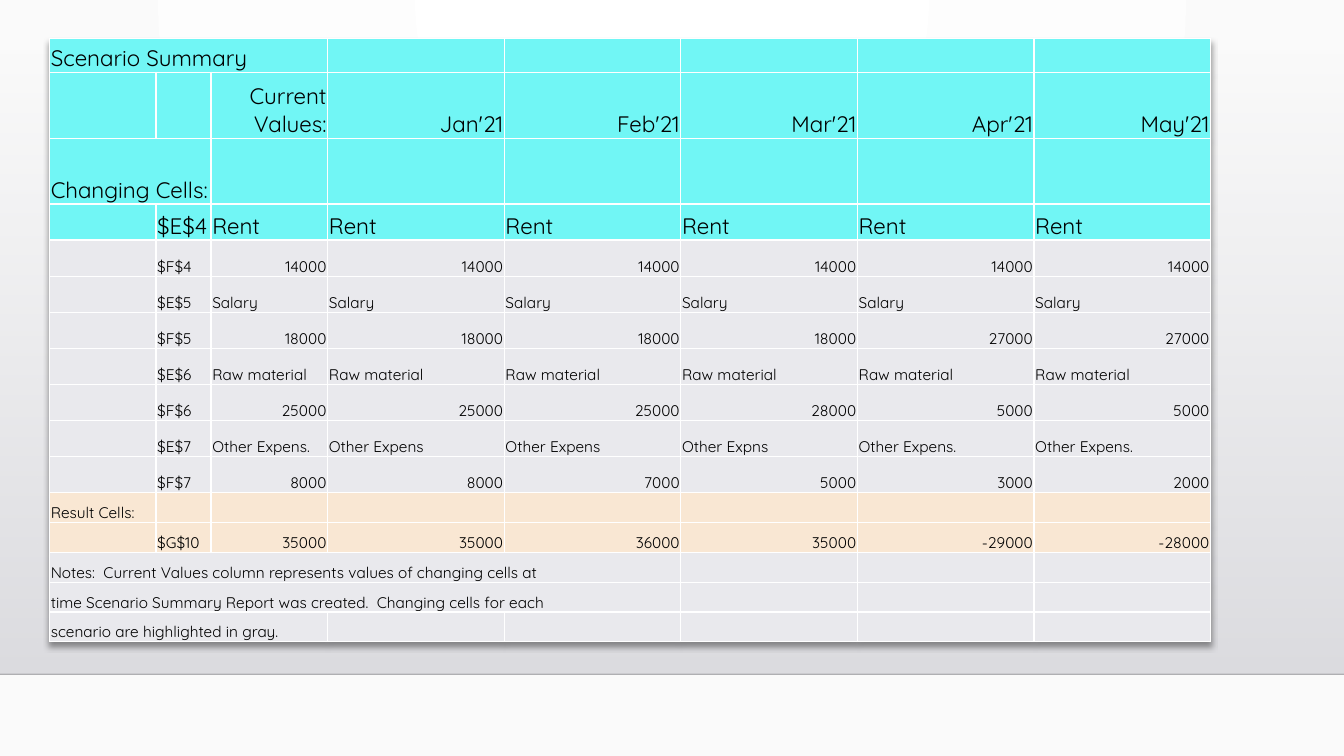
from lxml.etree import SubElement
from pptx import Presentation
from pptx.dml.color import RGBColor
from pptx.enum.shapes import MSO_CONNECTOR, MSO_SHAPE
from pptx.enum.text import MSO_ANCHOR, PP_ALIGN
from pptx.oxml.ns import qn
from pptx.util import Cm, Pt

COLORS = {
    "white": "FFFFFF", "paper": "FAFAFA", "text": "000000", "rule": "000001",
    "haze_top": "DCDCE0", "haze_bottom": "DEDEE2",
    "header": "71F6F5", "changing": "E9E9ED", "result": "F9E7D3",
}
FONT = "Quicksand"
SLIDE_WIDTH, SLIDE_HEIGHT = Cm(33.87), Cm(19.05)
HAZE_TOP, HAZE_BOTTOM = Cm(1.3), Cm(16.99)
TABLE_LEFT, TABLE_TOP = Cm(1.25), Cm(0.98)
COLUMN_WIDTHS = [2.68, 1.39, 2.94] + [4.45] * 5
LEFT, RIGHT = PP_ALIGN.LEFT, PP_ALIGN.RIGHT

# band, row height in cm, alignment of the value columns, cells from the left
ROWS = [
    ("header", 0.84, LEFT, ["Scenario Summary"]),
    ("header", 1.66, RIGHT, ["", "", "Current Values:", "Jan'21", "Feb'21",
                             "Mar'21", "Apr'21", "May'21"]),
    ("header", 1.66, LEFT, ["Changing Cells:"]),
    ("header", 0.91, LEFT, ["", "$E$4"] + ["Rent"] * 6),
    ("changing", 0.91, RIGHT, ["", "$F$4"] + ["14000"] * 6),
    ("changing", 0.91, LEFT, ["", "$E$5"] + ["Salary"] * 6),
    ("changing", 0.91, RIGHT, ["", "$F$5"] + ["18000"] * 4 + ["27000"] * 2),
    ("changing", 0.91, LEFT, ["", "$E$6"] + ["Raw material"] * 6),
    ("changing", 0.91, RIGHT, ["", "$F$6"] + ["25000"] * 3 + ["28000", "5000", "5000"]),
    ("changing", 0.91, LEFT, ["", "$E$7", "Other Expens.", "Other Expens", "Other Expens",
                              "Other Expns", "Other Expens.", "Other Expens."]),
    ("changing", 0.91, RIGHT, ["", "$F$7", "8000", "8000", "7000", "5000", "3000", "2000"]),
    ("result", 0.75, LEFT, ["Result Cells:"]),
    ("result", 0.75, RIGHT, ["", "$G$10", "35000", "35000", "36000", "35000",
                             "-29000", "-28000"]),
    ("changing", 0.75, LEFT,
     ["Notes:  Current Values column represents values of changing cells at"]),
    ("changing", 0.75, LEFT,
     ["time Scenario Summary Report was created.  Changing cells for each"]),
    ("changing", 0.75, LEFT, ["scenario are highlighted in gray."]),
]
# row: number of columns that its first cell covers
SPANS = {0: 3, 2: 2, 13: 5, 14: 5, 15: 3}


def rgb(name):
    return RGBColor.from_string(COLORS[name])


def set_alpha(color_element, percent):
    SubElement(color_element, qn("a:alpha"), val=str(percent * 1000))


def set_gradient(fill, start, end):
    fill.gradient()
    fill.gradient_angle = 270
    for stop, name in zip(fill.gradient_stops, (start, end)):
        stop.color.rgb = rgb(name)


def paint_background(slide):
    """Radial glow from the middle of the top edge."""
    set_gradient(slide.background.fill, "white", "paper")
    gradient = next(slide.background._cSld.iter(qn("a:gradFill")))
    gradient.remove(gradient.find(qn("a:lin")))
    glow = SubElement(gradient, qn("a:path"), path="circle")
    SubElement(glow, qn("a:fillToRect"), l="43000", t="0", r="43000", b="100000")


def add_haze(slide):
    """Panel that fades in from clear to grey."""
    haze = slide.shapes.add_shape(
        MSO_SHAPE.RECTANGLE, 0, HAZE_TOP, SLIDE_WIDTH, HAZE_BOTTOM - HAZE_TOP)
    haze.shadow.inherit = False
    haze.line.fill.background()
    set_gradient(haze.fill, "haze_top", "haze_bottom")
    set_alpha(next(haze._element.spPr.iter(qn("a:srgbClr"))), 0)


def add_floor_line(slide):
    floor = slide.shapes.add_connector(
        MSO_CONNECTOR.STRAIGHT, 0, HAZE_BOTTOM, SLIDE_WIDTH, HAZE_BOTTOM)
    floor.line.width = Pt(1)
    floor.line.color.rgb = rgb("rule")
    properties = floor._element.spPr
    set_alpha(next(properties.iter(qn("a:srgbClr"))), 20)
    SubElement(properties, qn("a:effectLst"))


def add_borders(cell):
    properties = cell._tc.get_or_add_tcPr()
    for side in ("lnL", "lnR", "lnT", "lnB"):
        border = SubElement(properties, qn(f"a:{side}"), w=str(Pt(1)))
        solid = SubElement(border, qn("a:solidFill"))
        SubElement(solid, qn("a:srgbClr"), val=COLORS["white"])


def fill_cell(cell, text, band, alignment):
    size = Pt(16) if band == "header" else Pt(11)
    add_borders(cell)
    cell.fill.solid()
    cell.fill.fore_color.rgb = rgb(band)
    cell.margin_left = cell.margin_right = cell.margin_top = Cm(0.03)
    cell.margin_bottom = 0
    cell.vertical_anchor = MSO_ANCHOR.BOTTOM
    cell.text = text
    paragraph = cell.text_frame.paragraphs[0]
    paragraph.alignment = alignment
    paragraph.font.name = FONT
    paragraph.font.size = size
    paragraph.font.color.rgb = rgb("text")
    if not text:  # an empty cell takes its height from the end mark
        SubElement(paragraph._p, qn("a:endParaRPr"), sz=str(int(size.pt * 100)))


def add_table_shadow(table):
    effects = SubElement(table._tbl.tblPr, qn("a:effectLst"))
    shadow = SubElement(effects, qn("a:outerShdw"), blurRad=str(Pt(4)), dist=str(Pt(3)),
                        dir="5400000", algn="t", rotWithShape="0")
    set_alpha(SubElement(shadow, qn("a:srgbClr"), val=COLORS["text"]), 40)
    style = table._tbl.tblPr.find(qn("a:tableStyleId"))
    if style is not None:
        effects.addnext(style)


def add_scenario_table(slide):
    scenario = slide.shapes.add_table(
        len(ROWS), len(COLUMN_WIDTHS), TABLE_LEFT, TABLE_TOP,
        Cm(sum(COLUMN_WIDTHS)), Cm(sum(row[1] for row in ROWS))).table
    scenario.first_row = scenario.horz_banding = False
    add_table_shadow(scenario)
    for column, width in zip(scenario.columns, COLUMN_WIDTHS):
        column.width = Cm(width)
    for r, (band, height, alignment, texts) in enumerate(ROWS):
        scenario.rows[r].height = Cm(height)
        for c in range(len(COLUMN_WIDTHS)):
            text = texts[c] if c < len(texts) else ""
            fill_cell(scenario.cell(r, c), text, band, alignment if c > 1 else LEFT)
    for r, span in SPANS.items():
        scenario.cell(r, 0).merge(scenario.cell(r, span - 1))


def main():
    deck = Presentation()
    deck.slide_width, deck.slide_height = SLIDE_WIDTH, SLIDE_HEIGHT
    slide = deck.slides.add_slide(deck.slide_layouts[6])
    paint_background(slide)
    add_haze(slide)
    add_floor_line(slide)
    add_scenario_table(slide)
    deck.save("out.pptx")


if __name__ == "__main__":
    main()
